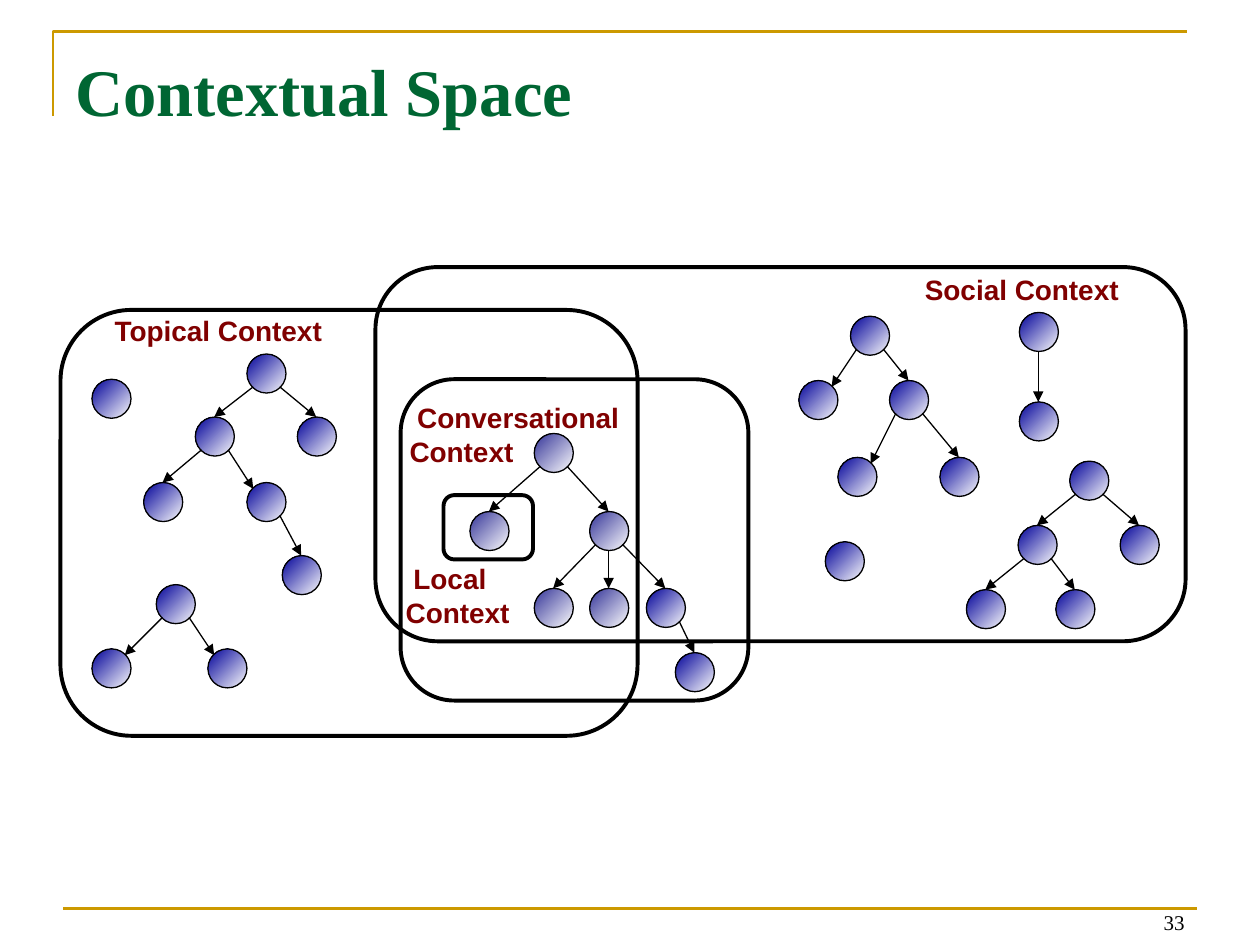
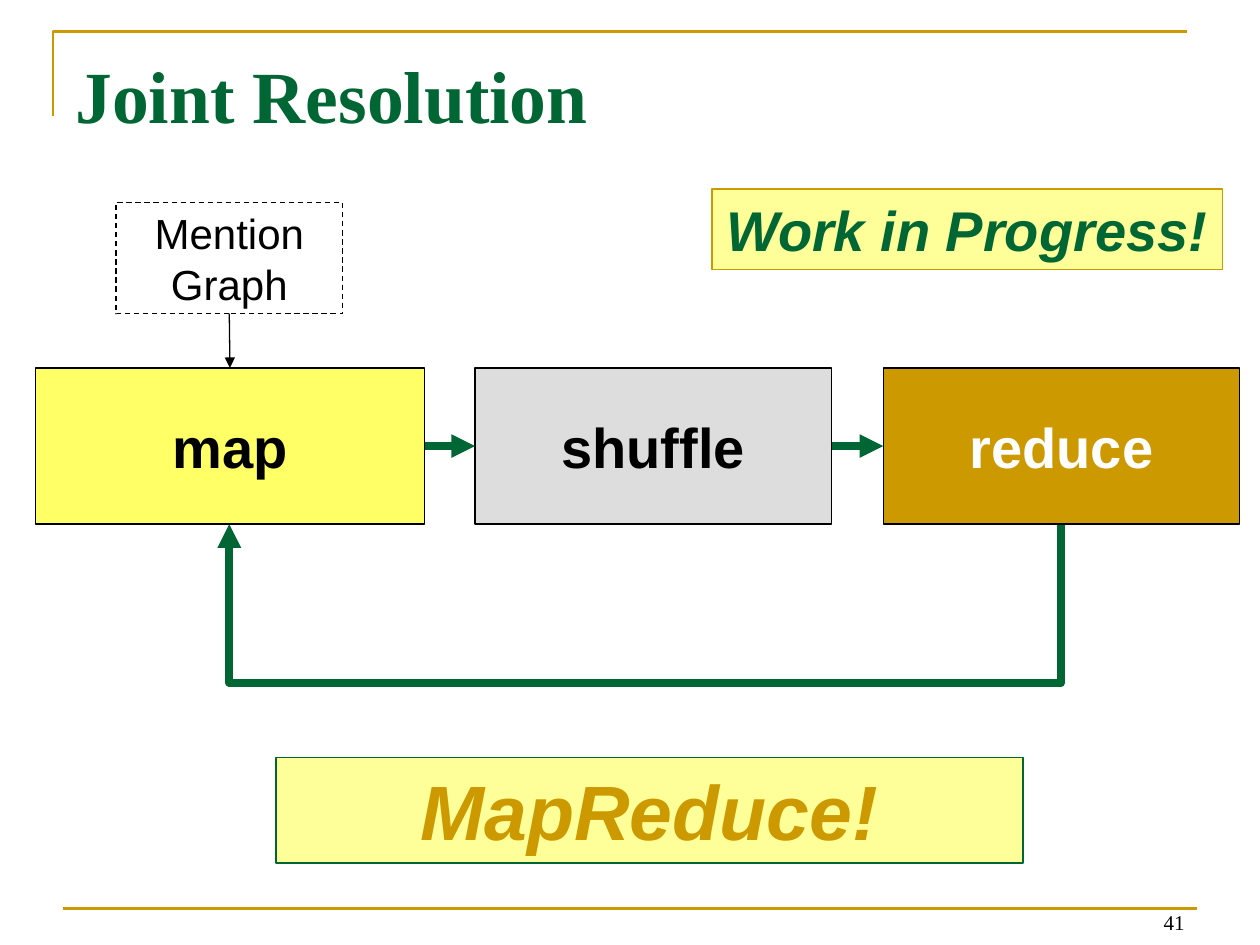
from dataclasses import dataclass
from pptx import Presentation, util as u
from pptx.dml import color as dml_color
from pptx.enum import dml, shapes, text
from pptx.oxml import ns, xmlchemy

PX = u.Inches(1) // 100
BLACK, WHITE = "000000", "FFFFFF"
GREEN, GOLD, MAROON = "006633", "CC9900", "800000"
YELLOW, PALE_YELLOW, GREY = "FFFF66", "FFFF99", "DDDDDD"
NAVY, SLATE = "000099", "333399"
SANS, SERIF = "Arial", "Times New Roman"
NODE_SIZE, NEAR, FAR = 31, 5, 26
LEFT, CENTER, RIGHT = text.PP_ALIGN.LEFT, text.PP_ALIGN.CENTER, text.PP_ALIGN.RIGHT
TOP, MIDDLE, BOTTOM = text.MSO_ANCHOR.TOP, text.MSO_ANCHOR.MIDDLE, text.MSO_ANCHOR.BOTTOM
RECTANGLE = shapes.MSO_SHAPE.RECTANGLE


@dataclass
class Node:
    """A message and its replies; corner makes the incoming arrow end at the near upper corner."""
    x: int
    y: int
    replies: tuple = ()
    corner: bool = False
    color: str = NAVY


def px(value):
    return u.Emu(value * PX)


def rgb(value):
    return dml_color.RGBColor.from_string(value)


class Deck:
    """Holds the shared style, the current slide and the shapes being added to."""

    def __init__(self):
        self.presentation = Presentation()
        self.presentation.slide_width, self.presentation.slide_height = px(1000), px(750)

    def new_slide(self, title, size, number):
        self.slide = self.presentation.slides.add_slide(self.presentation.slide_layouts[6])
        self.shapes = self.slide.shapes
        self.polyline([(42, 92), (42, 25), (942, 25)], GOLD, 1.5)
        self.line((50, 721), (950, 721), GOLD, 1.5, arrow=False)
        self.label(50, 30, 900, 125, title, size, GREEN, SERIF, insets=(10, 10))
        self.label(717, 697, 233, 50, number, 12, BLACK, SERIF, bold=False,
                   align=RIGHT, anchor=BOTTOM, insets=(10, 5))

    def start_group(self):
        self.shapes = self.slide.shapes.add_group_shape().shapes

    def outline(self, shape, color, width, arrow=False, dashed=False):
        shape.line.color.rgb = rgb(color)
        shape.line.width = u.Pt(width)
        if dashed:
            shape.line.dash_style = dml.MSO_LINE.DASH
        if arrow:
            tail = xmlchemy.OxmlElement("a:tailEnd")
            tail.set("type", "triangle")
            shape.element.find(".//" + ns.qn("a:ln")).append(tail)

    def polyline(self, points, color, width, arrow=False):
        builder = self.shapes.build_freeform(*points[0], scale=PX)
        builder.add_line_segments(points[1:], close=False)
        shape = builder.convert_to_shape()
        shape.shadow.inherit = False
        shape.fill.background()
        self.outline(shape, color, width, arrow)

    def line(self, start, end, color=BLACK, width=0.75, arrow=True):
        connector = self.shapes.add_connector(
            shapes.MSO_CONNECTOR.STRAIGHT, *map(px, start + end))
        self.outline(connector, color, width, arrow)
        properties = connector.element.find(ns.qn("p:spPr"))
        properties.append(xmlchemy.OxmlElement("a:effectLst"))
        return connector

    def join(self, source, source_side, target, target_side, color=BLACK, width=0.75):
        connector = self.line((0, 0), (0, 0), color, width)
        connector.begin_connect(source, source_side)
        connector.end_connect(target, target_side)

    def shape(self, kind, x, y, width, height, fill=None, line=BLACK, weight=0.75, dashed=False):
        shape = self.shapes.add_shape(kind, px(x), px(y), px(width), px(height))
        shape.shadow.inherit = False
        if fill:
            shape.fill.solid()
            shape.fill.fore_color.rgb = rgb(fill)
        else:
            shape.fill.background()
        self.outline(shape, line, weight, dashed=dashed)
        return shape

    def set_text(self, shape, content, size, color, font=SANS, bold=True, italic=False,
                 align=CENTER, anchor=MIDDLE, insets=(0, 10)):
        frame = shape.text_frame
        frame.word_wrap = True
        frame.vertical_anchor = anchor
        frame.margin_left = frame.margin_right = px(insets[0])
        frame.margin_top = frame.margin_bottom = px(insets[1])
        paragraph = frame.paragraphs[0]
        paragraph.alignment = align
        for index, words in enumerate(content.split("\n")):
            if index:
                paragraph.add_line_break()
            run = paragraph.add_run()
            run.text = words
            run.font.name, run.font.size = font, u.Pt(size)
            run.font.bold, run.font.italic = bold, italic
            run.font.color.rgb = rgb(color)

    def label(self, x, y, width, height, content, size=16, color=MAROON, font=SANS,
              bold=True, align=LEFT, anchor=TOP, insets=(7, 3)):
        box = self.shapes.add_textbox(px(x), px(y), px(width), px(height))
        self.set_text(box, content, size, color, font, bold, False, align, anchor, insets)

    def box(self, x, y, width, height, content, size, color, fill=None, line=BLACK,
            dashed=False, **style):
        shape = self.shape(RECTANGLE, x, y, width, height, fill, line, dashed=dashed)
        self.set_text(shape, content, size, color, **style)
        return shape

    def context(self, x, y, width, height):
        """Start a group with the rounded frame of one context."""
        self.start_group()
        self.shape(shapes.MSO_SHAPE.ROUNDED_RECTANGLE, x, y, width, height, weight=2.25)

    def tree(self, node):
        circle = self.shape(shapes.MSO_SHAPE.OVAL, node.x, node.y, NODE_SIZE, NODE_SIZE)
        circle.fill.gradient()
        circle.fill.gradient_angle = 135
        for stop, color in zip(circle.fill.gradient_stops, (WHITE, node.color)):
            stop.color.rgb = rgb(color)
        for reply in node.replies:
            self.tree(reply)
            self.reply_arrow(node, reply)

    def reply_arrow(self, node, reply):
        middle = NODE_SIZE // 2
        if reply.x == node.x:
            start = (node.x + middle, node.y + NODE_SIZE)
        else:
            start = (node.x + (FAR if reply.x > node.x else NEAR), node.y + FAR)
        if reply.corner:
            end = (reply.x + (NEAR if reply.x > node.x else FAR), reply.y + NEAR)
        else:
            end = (reply.x + middle, reply.y)
        self.line(start, end)


def contextual_space(deck):
    deck.new_slide("Contextual Space", 38, "33")

    deck.context(298, 212, 643, 297)
    deck.label(727, 213, 215, 37, "Social Context")
    for root in (
        Node(675, 251, (
            Node(634, 302, corner=True),
            Node(706, 302, (Node(665, 363, corner=True), Node(746, 363))))),
        Node(849, 366, (
            Node(808, 417, (Node(767, 468), Node(838, 468))),
            Node(889, 417))),
        Node(655, 430),
        Node(809, 248, (Node(809, 319),)),
    ):
        deck.tree(root)

    deck.context(352, 393, 71, 51)
    deck.label(322, 443, 94, 61, " Local\nContext", insets=(0, 3))

    deck.context(318, 301, 276, 255)
    deck.label(318, 315, 265, 37, " Conversational\nContext")
    deck.tree(Node(424, 344, (
        Node(373, 406, color=SLATE),
        Node(468, 406, (
            Node(424, 467, color=SLATE),
            Node(468, 467, color=SLATE),
            Node(513, 467, (Node(536, 518),))), color=SLATE)), color=SLATE))

    deck.context(48, 246, 458, 338)
    deck.label(84, 246, 214, 37, "Topical Context")
    for root in (
        Node(124, 464, (Node(73, 515, corner=True), Node(165, 515, corner=True))),
        Node(196, 281, (
            Node(155, 331, (
                Node(114, 383),
                Node(196, 383, (Node(224, 441),), corner=True))),
            Node(236, 331))),
        Node(73, 301),
    ):
        deck.tree(root)


def joint_resolution(deck):
    deck.new_slide("Joint Resolution", 42, "41")
    deck.polyline([(842, 416), (842, 542), (182, 542), (182, 416)], GREEN, 4.5, arrow=True)

    stages = [
        deck.box(x, 292, width, 124, name, 32, color, fill)
        for x, width, name, color, fill in (
            (28, 309, "map", BLACK, YELLOW),
            (377, 283, "shuffle", BLACK, GREY),
            (701, 283, "reduce", WHITE, GOLD))
    ]
    for source, target in zip(stages, stages[1:]):
        deck.join(source, 3, target, 1, GREEN, 4.5)

    mention_graph = deck.box(92, 161, 180, 88, "Mention\nGraph", 24, BLACK,
                             dashed=True, bold=False)
    deck.join(mention_graph, 2, stages[0], 0)

    callout = dict(fill=PALE_YELLOW, italic=True, insets=(10, 5))
    deck.box(219, 601, 593, 84, "MapReduce!", 44, GOLD, line=GREEN, **callout)
    deck.box(565, 150, 405, 64, "Work in Progress!", 32, GREEN, line=GOLD, **callout)


def main():
    deck = Deck()
    contextual_space(deck)
    joint_resolution(deck)
    deck.presentation.save("out.pptx")


if __name__ == "__main__":
    main()
